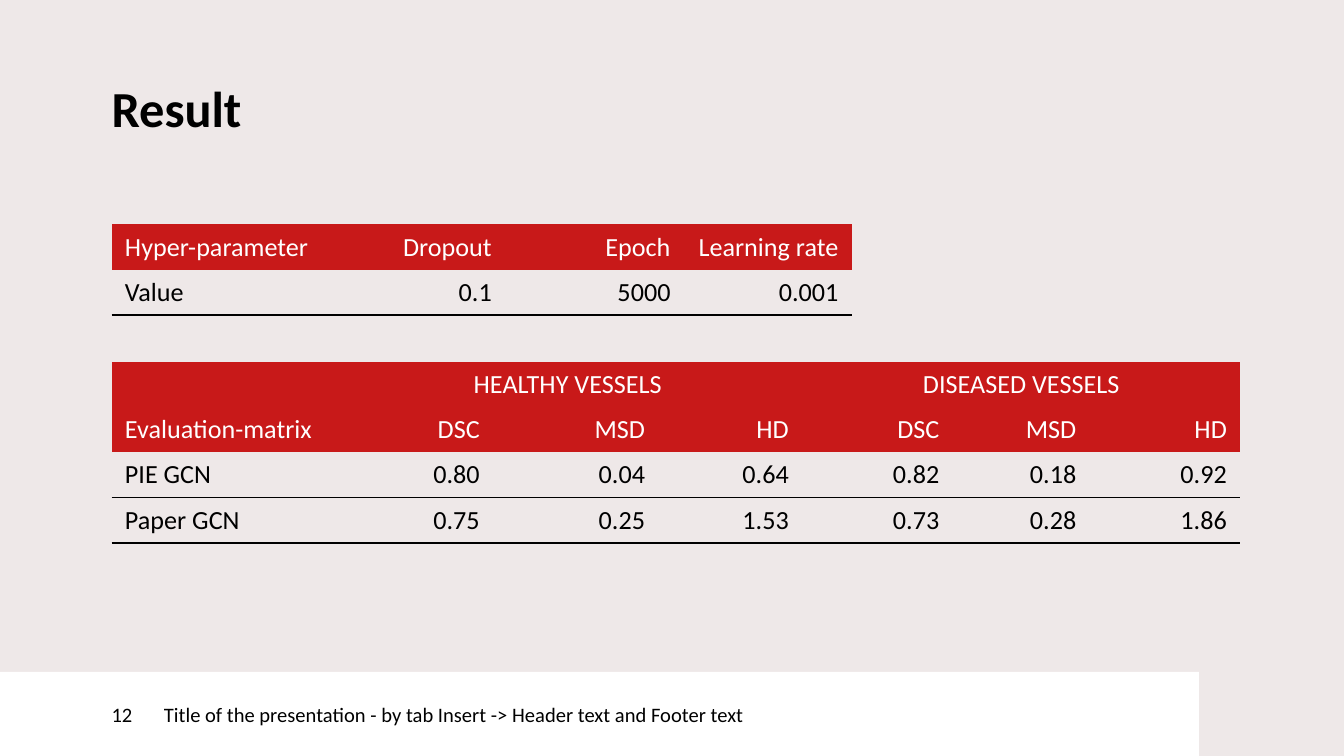
from lxml import etree
from pptx import Presentation
from pptx.dml.color import RGBColor
from pptx.enum.shapes import MSO_SHAPE
from pptx.enum.text import MSO_ANCHOR, PP_ALIGN
from pptx.oxml.ns import qn
from pptx.util import Inches, Pt

RECTANGLE = MSO_SHAPE.RECTANGLE
TOP, MIDDLE = MSO_ANCHOR.TOP, MSO_ANCHOR.MIDDLE
LEFT, CENTER, RIGHT = PP_ALIGN.LEFT, PP_ALIGN.CENTER, PP_ALIGN.RIGHT

COLORS = {"page": "EEE8E8", "header": "C81919", "white": "FFFFFF", "black": "000000"}
FONT = "Calibri"
PLAIN_TABLE_STYLE = "{2D5ABB26-0587-4C30-8999-92F81FD0307C}"

# A 16:9 page
SLIDE_WIDTH = 10
SLIDE_HEIGHT = SLIDE_WIDTH * 9 / 16
MARGIN = 0.83
ROW_HEIGHT = 0.33
TABLE_SIZE = 14
FOOTER_TOP = 5
NUMBER_WIDTH, FOOTER_WIDTH = 1.22, 7.7

HYPER_PARAMETERS = [
    ["Hyper-parameter", "Dropout", "Epoch", "Learning rate"],
    ["Value", "0.1", "5000", "0.001"],
]
EVALUATION = [
    ["", "HEALTHY VESSELS", "", "", "DISEASED VESSELS", "", ""],
    ["Evaluation-matrix"] + ["DSC", "MSD", "HD"] * 2,
    ["PIE GCN", "0.80", "0.04", "0.64", "0.82", "0.18", "0.92"],
    ["Paper GCN", "0.75", "0.25", "1.53", "0.73", "0.28", "1.86"],
]


def color(name):
    return RGBColor.from_string(COLORS[name])


def format_text(frame, size, color_name="black", align=LEFT, bold=False):
    for para in frame.paragraphs:
        para.alignment = align
        for span in para.runs:
            span.font.name = FONT
            span.font.size = Pt(size)
            span.font.bold = bold
            span.font.color.rgb = color(color_name)


def set_insets(frame, left=0):
    frame.margin_left = Inches(left)
    frame.margin_top = frame.margin_right = frame.margin_bottom = 0


def add_title(page, text):
    title = page.shapes.title
    title.left, title.top = Inches(MARGIN), Inches(0.57)
    title.width, title.height = Inches(8.26), Inches(0.59)
    frame = title.text_frame
    frame.text = text
    frame.vertical_anchor = TOP
    set_insets(frame)
    format_text(frame, 27, bold=True)


def add_footer_box(page, left, width, text, inset=0):
    box = page.shapes.add_shape(
        RECTANGLE, Inches(left), Inches(FOOTER_TOP),
        Inches(width), Inches(SLIDE_HEIGHT - FOOTER_TOP))
    box.shadow.inherit = False
    box.fill.solid()
    box.fill.fore_color.rgb = color("white")
    box.line.fill.background()
    frame = box.text_frame
    frame.text = text
    frame.word_wrap = True
    frame.vertical_anchor = MIDDLE
    set_insets(frame, inset)
    format_text(frame, 11)


def add_rule(cell, side):
    """Draw a one-point black border on one side: lnT or lnB."""
    border = etree.Element(qn("a:" + side), w=str(Pt(1)))
    fill = etree.SubElement(border, qn("a:solidFill"))
    etree.SubElement(fill, qn("a:srgbClr"), val=COLORS["black"])
    properties = cell._tc.get_or_add_tcPr()
    # Borders come before the cell's fill
    properties.insert(len(properties) - 1, border)


def format_cell(cell, text, is_header, align):
    cell.text = text
    cell.vertical_anchor = MIDDLE
    format_text(cell.text_frame, TABLE_SIZE, "white" if is_header else "black", align)
    # Empty cells keep the table's text size, so rows stay even
    end = cell.text_frame.paragraphs[0]._p.get_or_add_endParaRPr()
    end.set("sz", str(TABLE_SIZE * 100))
    if is_header:
        cell.fill.solid()
        cell.fill.fore_color.rgb = color("header")
    else:
        cell.fill.background()


def add_data_table(page, top, widths, rows, header_rows=1, groups=()):
    """Add a table; groups lists first and last columns merged in the top row."""
    frame = page.shapes.add_table(
        len(rows), len(widths), Inches(MARGIN), Inches(top),
        Inches(sum(widths)), Inches(ROW_HEIGHT * len(rows)))
    table = frame.table
    table.first_row = table.horz_banding = False
    table._tbl.tblPr.find(qn("a:tableStyleId")).text = PLAIN_TABLE_STYLE
    for column, width in zip(table.columns, widths):
        column.width = Inches(width)

    for r, values in enumerate(rows):
        for c, text in enumerate(values):
            cell = table.cell(r, c)
            is_header = r < header_rows
            if groups and r == 0:
                align = CENTER
            else:
                align = RIGHT if c else LEFT
            format_cell(cell, text, is_header, align)
            if r > header_rows:
                add_rule(cell, "lnT")
            if not is_header:
                add_rule(cell, "lnB")

    for first, last in groups:
        table.cell(0, first).merge(table.cell(0, last))


def main():
    deck = Presentation()
    deck.slide_width, deck.slide_height = Inches(SLIDE_WIDTH), Inches(SLIDE_HEIGHT)
    page = deck.slides.add_slide(deck.slide_layouts[5])
    page.background.fill.solid()
    page.background.fill.fore_color.rgb = color("page")

    # Footer band
    add_footer_box(page, NUMBER_WIDTH, FOOTER_WIDTH,
                   "Title of the presentation - by tab Insert -> Header text and Footer text")
    add_footer_box(page, 0, NUMBER_WIDTH, "12", inset=MARGIN)

    # Title and tables
    add_title(page, "Result")
    add_data_table(page, 1.67, [1.67, 1.26, 1.33, 1.25], HYPER_PARAMETERS)
    add_data_table(page, 2.69, [1.65, 1.19, 1.23, 1.07, 1.12, 1.02, 1.12], EVALUATION,
                   header_rows=2, groups=[(1, 3), (4, 6)])
    deck.save("out.pptx")


if __name__ == "__main__":
    main()
